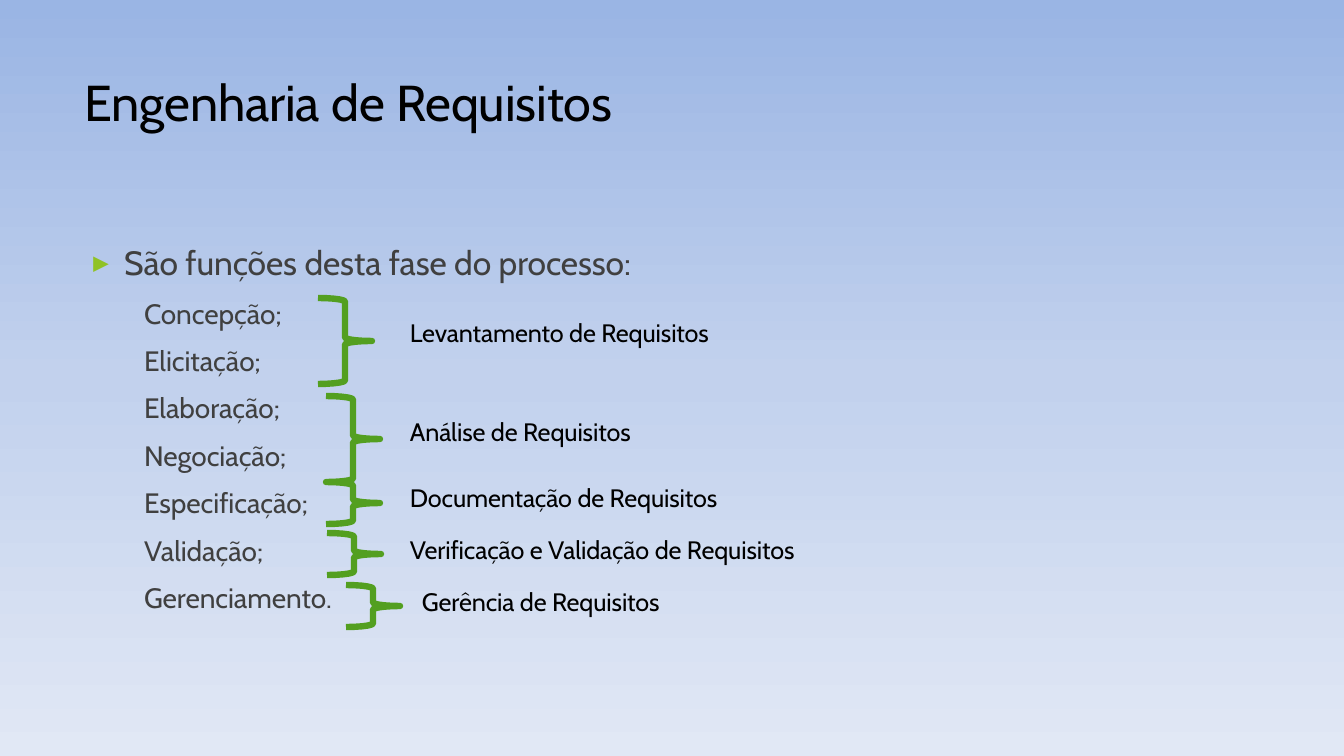
from copy import deepcopy
from dataclasses import dataclass
from math import cos, pi, sin

from lxml.etree import SubElement
from pptx import Presentation
from pptx.dml.color import RGBColor
from pptx.enum.text import MSO_ANCHOR, MSO_AUTO_SIZE, PP_ALIGN
from pptx.oxml.ns import qn
from pptx.util import Pt

EMU_PER_PX = 914400 / 100.8


@dataclass(frozen=True)
class Theme:
    font: str = "Cabin"
    bullet_font: str = "Noto Sans Mono"
    title_color: str = "000000"
    body_color: str = "404040"
    bullet_color: str = "90C225"
    brace_color: str = "539F20"
    background: tuple = ((0, "9AB5E4"), (0.5, "C2D1ED"), (1, "E1E8F5"))
    title_size: int = 36
    heading_size: int = 24
    item_size: int = 20
    label_size: int = 18
    item_line: float = 33.85
    brace_width: float = 4.56


THEME = Theme()

TITLE = "Engenharia de Requisitos"
HEADING = "São funções desta fase do processo:"
FUNCTIONS = ("Concepção;", "Elicitação;", "Elaboração;", "Negociação;",
             "Especificação;", "Validação;", "Gerenciamento.")
# Left, top and height of each brace in px within the region, by outline
BRACE_OUTLINES = (
    ((0, 0, 86),),
    ((8, 98, 86), (8, 184, 42), (9, 235, 42), (28, 287, 42)),
)
# Label, left and top in px within the region
LABELS = (
    ("Levantamento de Requisitos", 92, 19),
    ("Análise de Requisitos", 92, 118),
    ("Documentação de Requisitos", 92, 184),
    ("Verificação e Validação de Requisitos", 92, 236),
    ("Gerência de Requisitos", 104, 288),
)
BRACE_SPAN = 54
CURVE_HEIGHT = 3.6
CURVE_STEPS = 5


def px(length):
    return round(length * EMU_PER_PX)


def set_attributes(target, values):
    for name, value in values.items():
        setattr(target, name, value)


def place(shape, box):
    set_attributes(shape, dict(zip(("left", "top", "width", "height"), map(px, box))))


def prepare_frame(shape, word_wrap=True):
    """Remove insets and automatic fitting, and anchor text at the top."""
    frame = shape.text_frame
    set_attributes(frame, {
        "margin_left": 0, "margin_top": 0, "margin_right": 0, "margin_bottom": 0,
        "word_wrap": word_wrap, "auto_size": MSO_AUTO_SIZE.NONE,
        "vertical_anchor": MSO_ANCHOR.TOP,
    })
    return frame


def write(paragraph, text, size, color, tracking, line_spacing=1.0):
    """Fill a paragraph with one run; tracking is in hundredths of a point."""
    set_attributes(paragraph, {
        "alignment": PP_ALIGN.LEFT, "space_before": Pt(0),
        "space_after": Pt(0), "line_spacing": line_spacing,
    })
    run = paragraph.add_run()
    run.text = text
    set_attributes(run.font, {"name": THEME.font, "size": Pt(size)})
    run.font.color.rgb = RGBColor.from_string(color)
    run.font._element.set("spc", str(tracking))


def set_bullet(paragraph, margin, indent, bullet=None):
    properties = paragraph._p.get_or_add_pPr()
    properties.set("marL", str(px(margin)))
    properties.set("indent", str(px(indent)))
    if bullet is None:
        SubElement(properties, qn("a:buNone"))
        return
    color = SubElement(properties, qn("a:buClr"))
    SubElement(color, qn("a:srgbClr"), val=THEME.bullet_color)
    SubElement(properties, qn("a:buSzPct"), val="79000")
    SubElement(properties, qn("a:buFont"), typeface=THEME.bullet_font)
    SubElement(properties, qn("a:buChar"), char=bullet)


def paint_background(slide):
    fill = slide.background.fill
    fill.gradient()
    fill.gradient_angle = 270
    first_stop = fill._fill._gradFill.gsLst[0]
    first_stop.addnext(deepcopy(first_stop))
    for stop, (position, color) in zip(fill.gradient_stops, THEME.background):
        stop.position = position
        stop.color.rgb = RGBColor.from_string(color)


def add_title(slide, box):
    shape = slide.shapes.title
    place(shape, box)
    frame = prepare_frame(shape)
    write(frame.paragraphs[0], TITLE, THEME.title_size, THEME.title_color, -8)


def add_function_list(slide, box):
    shape = slide.placeholders[1]
    place(shape, box)
    frame = prepare_frame(shape)
    heading = frame.paragraphs[0]
    write(heading, HEADING, THEME.heading_size, THEME.body_color, -5)
    set_bullet(heading, 39, -39, "▶")
    for function in FUNCTIONS:
        item = frame.add_paragraph()
        write(item, function, THEME.item_size, THEME.body_color, -5, Pt(THEME.item_line))
        set_bullet(item, 59, 0)


def brace_points(left, top, height):
    """Trace a right brace from its upper to its lower end, in EMU."""
    angles = [pi / 2 * step / CURVE_STEPS for step in range(CURVE_STEPS + 1)]
    curve = [(BRACE_SPAN / 2 * sin(angle), CURVE_HEIGHT * (1 - cos(angle)))
             for angle in angles]
    upper = curve + [(BRACE_SPAN - x, height / 2 - y) for x, y in reversed(curve)]
    lower = [(x, height - y) for x, y in reversed(upper[:-1])]
    return [(px(left + x), px(top + y)) for x, y in upper + lower]


def add_braces(slide, boxes):
    """Draw braces as one outline, joining those that touch."""
    contours = [brace_points(*box) for box in boxes]
    builder = slide.shapes.build_freeform(*contours[0][0])
    end = contours[0][0]
    for start, *points in contours:
        if start != end:
            builder.move_to(*start)
        builder.add_line_segments(points, close=False)
        end = points[-1]
    braces = builder.convert_to_shape()
    braces.shadow.inherit = False
    braces.fill.background()
    braces.line.color.rgb = RGBColor.from_string(THEME.brace_color)
    braces.line.width = Pt(THEME.brace_width)


def add_label(slide, text, box):
    frame = prepare_frame(slide.shapes.add_textbox(*map(px, box)), word_wrap=False)
    write(frame.paragraphs[0], text, THEME.label_size, THEME.title_color, -8)


def add_groups(slide, box):
    left, top, width, _ = box
    for outline in BRACE_OUTLINES:
        add_braces(slide, [(left + x, top + y, height) for x, y, height in outline])
    for text, x, y in LABELS:
        add_label(slide, text, (left + x, top + y, width - x, 31))


def main():
    presentation = Presentation()
    set_attributes(presentation, {"slide_width": px(1344), "slide_height": px(756)})
    slide = presentation.slides.add_slide(presentation.slide_layouts[1])
    paint_background(slide)
    add_title(slide, (84, 71, 566, 64))
    add_function_list(slide, (85, 242, 582, 376))
    add_groups(slide, (318, 298, 511, 329))
    presentation.save("out.pptx")


if __name__ == "__main__":
    main()
